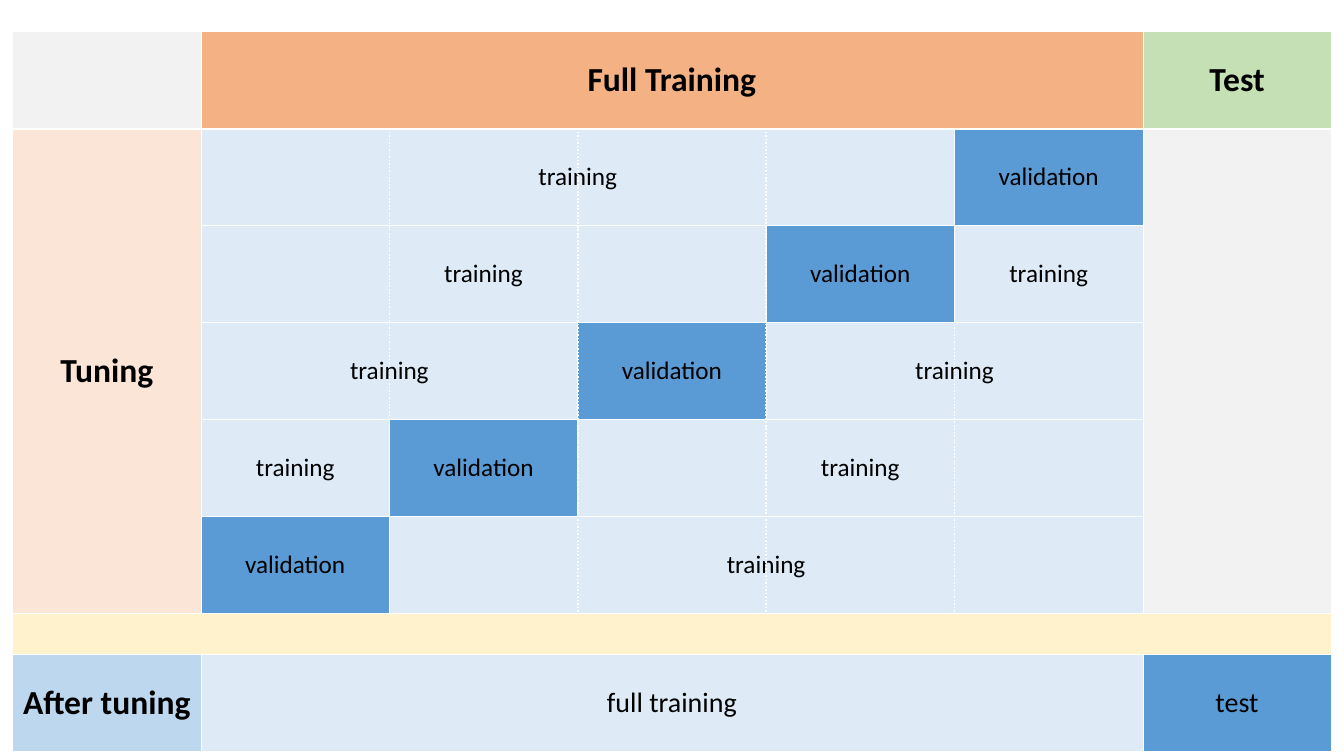
import pptx
import pptx.dml.color
import pptx.enum.dml
import pptx.enum.shapes
import pptx.enum.text
import pptx.oxml
import pptx.oxml.ns
import pptx.util

RGBColor = pptx.dml.color.RGBColor
Pt = pptx.util.Pt

WHITE = RGBColor(0xFF, 0xFF, 0xFF)
BLACK = RGBColor(0x00, 0x00, 0x00)
GREY = RGBColor(0xF2, 0xF2, 0xF2)
ORANGE = RGBColor(0xF4, 0xB1, 0x83)
GREEN = RGBColor(0xC5, 0xE0, 0xB4)
PEACH = RGBColor(0xFB, 0xE5, 0xD6)
PALE_BLUE = RGBColor(0xDE, 0xEB, 0xF7)
BLUE = RGBColor(0x5B, 0x9B, 0xD5)
LIGHT_BLUE = RGBColor(0xBD, 0xD7, 0xEE)
YELLOW = RGBColor(0xFF, 0xF2, 0xCC)

LEFT, TOP = 9, 22.6
COLUMN_WIDTH, ROW_HEIGHT, SPACER_HEIGHT = 134.64, 69.3, 12.3
FOLDS = 5
COLUMNS = FOLDS + 2
TEST_COLUMN = FOLDS + 1
SPACER_ROW = FOLDS + 1
FINAL_ROW = FOLDS + 2
THIN_BORDER, HEADER_BORDER = 0.45, 1.47


class SlideBuilder:
    font = "Calibri"

    def __init__(self, slide):
        self.slide = slide
        self.table = None

    def add_table(self, left, top, column_widths, row_heights):
        frame = self.slide.shapes.add_table(
            len(row_heights), len(column_widths), Pt(left), Pt(top),
            Pt(sum(column_widths)), Pt(sum(row_heights)))
        self.table = frame.table
        self.table.first_row = False
        self.table.horz_banding = False
        for column, width in zip(self.table.columns, column_widths):
            column.width = Pt(width)
        for row, height in zip(self.table.rows, row_heights):
            row.height = Pt(height)
        for row_index, row in enumerate(self.table.rows):
            for cell in row.cells:
                self.add_borders(cell, row_index)

    def add_borders(self, cell, row_index):
        widths = {
            "lnL": THIN_BORDER,
            "lnR": THIN_BORDER,
            "lnT": HEADER_BORDER if row_index == 1 else THIN_BORDER,
            "lnB": HEADER_BORDER if row_index == 0 else THIN_BORDER,
        }
        properties = cell._tc.get_or_add_tcPr()
        for name, width in widths.items():
            properties.append(pptx.oxml.parse_xml(
                f'<a:{name} {pptx.oxml.ns.nsdecls("a")} w="{Pt(width)}">'
                f'<a:solidFill><a:srgbClr val="{WHITE}"/></a:solidFill></a:{name}>'))

    def fill_cell(self, row, column, fill, text="", size=18, bold=False,
                  row_span=1, column_span=1):
        cell = self.table.cell(row, column)
        if row_span > 1 or column_span > 1:
            cell.merge(self.table.cell(row + row_span - 1, column + column_span - 1))
        cell.fill.solid()
        cell.fill.fore_color.rgb = fill
        cell.vertical_anchor = pptx.enum.text.MSO_ANCHOR.MIDDLE
        if text:
            paragraph = cell.text_frame.paragraphs[0]
            paragraph.alignment = pptx.enum.text.PP_ALIGN.CENTER
            run = paragraph.add_run()
            run.text = text
            run.font.name = self.font
            run.font.size = Pt(size)
            run.font.bold = bold
            run.font.color.rgb = BLACK

    def add_dotted_line(self, x, start, end):
        line = self.slide.shapes.add_connector(
            pptx.enum.shapes.MSO_CONNECTOR.STRAIGHT, Pt(x), Pt(start), Pt(x), Pt(end))
        line.line.color.rgb = WHITE
        line.line.width = Pt(1.25)
        line.line.dash_style = pptx.enum.dml.MSO_LINE.ROUND_DOT
        line._element.spPr.append(pptx.oxml.parse_xml(
            f'<a:effectLst {pptx.oxml.ns.nsdecls("a")}/>'))


def main():
    presentation = pptx.Presentation()
    presentation.slide_width = Pt(960.5)
    presentation.slide_height = Pt(540)
    builder = SlideBuilder(presentation.slides.add_slide(presentation.slide_layouts[6]))

    row_heights = [ROW_HEIGHT] * (FOLDS + 1) + [SPACER_HEIGHT, ROW_HEIGHT]
    builder.add_table(LEFT, TOP, [COLUMN_WIDTH] * COLUMNS, row_heights)

    builder.fill_cell(0, 0, GREY)
    builder.fill_cell(0, 1, ORANGE, "Full Training", 24, True, column_span=FOLDS)
    builder.fill_cell(0, TEST_COLUMN, GREEN, "Test", 24, True)
    builder.fill_cell(1, 0, PEACH, "Tuning", 24, True, row_span=FOLDS)
    builder.fill_cell(1, TEST_COLUMN, GREY, row_span=FOLDS)

    for row in range(1, FOLDS + 1):
        validation_column = FOLDS + 1 - row
        before, after = validation_column - 1, FOLDS - validation_column
        if before:
            builder.fill_cell(row, 1, PALE_BLUE, "training", column_span=before)
        builder.fill_cell(row, validation_column, BLUE, "validation")
        if after:
            builder.fill_cell(row, validation_column + 1, PALE_BLUE, "training",
                              column_span=after)

    builder.fill_cell(SPACER_ROW, 0, YELLOW, column_span=COLUMNS)
    builder.fill_cell(FINAL_ROW, 0, LIGHT_BLUE, "After tuning", 24, True)
    builder.fill_cell(FINAL_ROW, 1, PALE_BLUE, "full training", 20, column_span=FOLDS)
    builder.fill_cell(FINAL_ROW, TEST_COLUMN, BLUE, "test", 20)

    for fold in range(1, FOLDS):
        builder.add_dotted_line(LEFT + COLUMN_WIDTH * (fold + 1), 437, 94.3)

    presentation.save("out.pptx")


if __name__ == "__main__":
    main()
